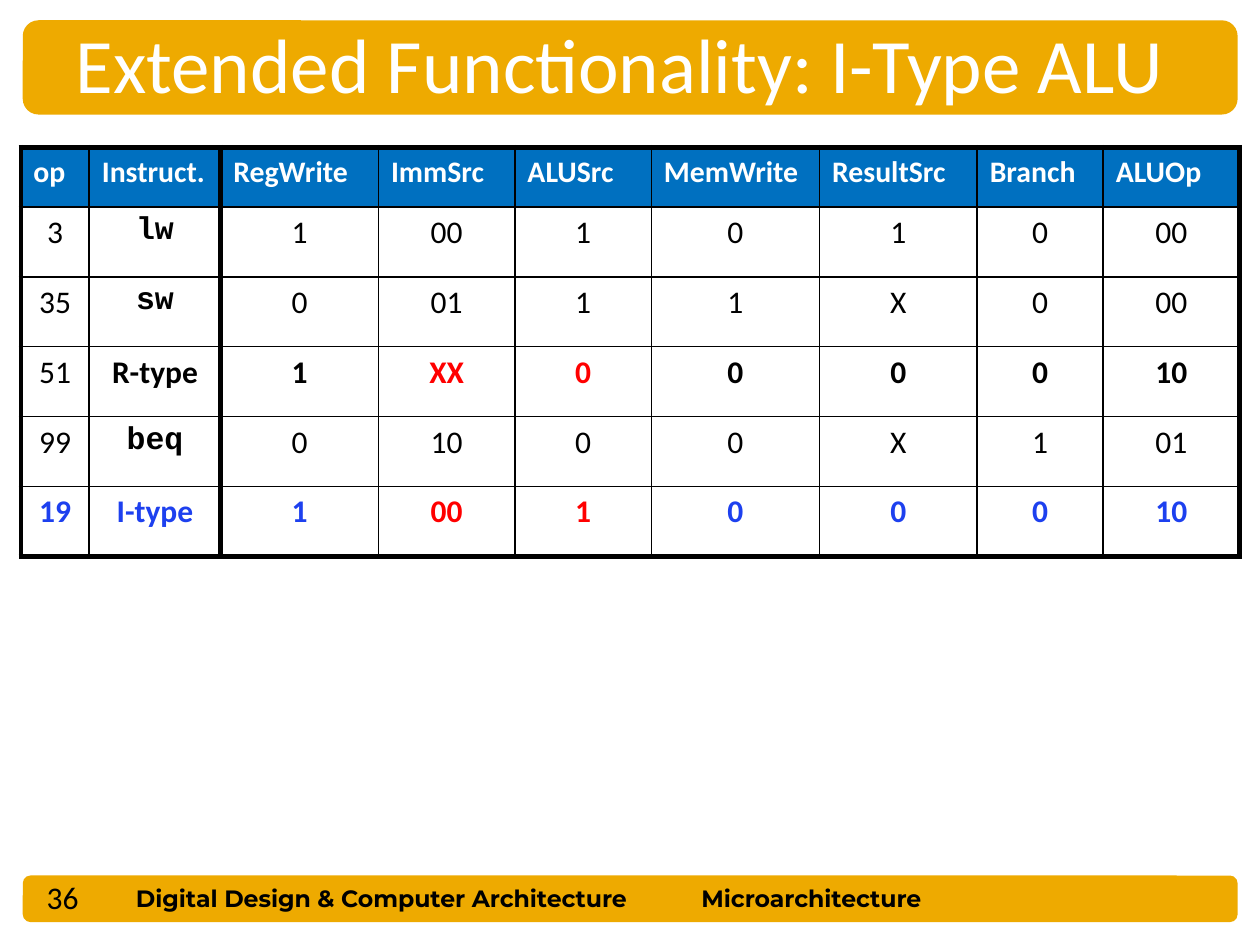
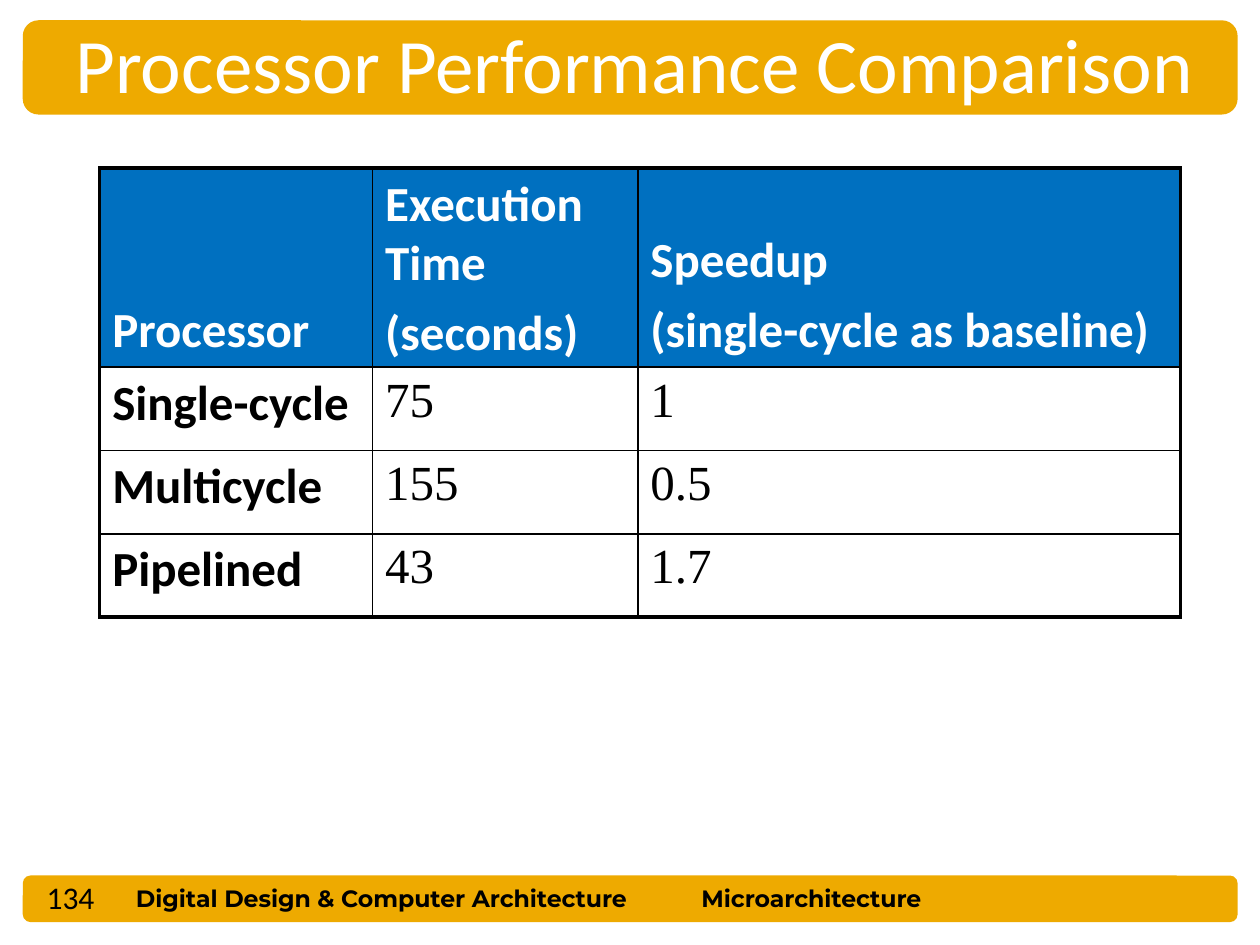
"""Build two microarchitecture lecture slides with shared bands and bordered tables."""
from dataclasses import dataclass
from typing import Callable

from lxml import etree
from pptx import Presentation
from pptx import util as u
from pptx.dml.color import RGBColor
from pptx.enum import shapes, text
from pptx.oxml.ns import qn

COLORS = {
    "band": "EEAA00",
    "header": "0070C0",
    "white": "FFFFFF",
    "black": "000000",
    "red": "FF0000",
    "blue": "1D40EF",
}
LEFT, CENTER = text.PP_ALIGN.LEFT, text.PP_ALIGN.CENTER
TOP, BOTTOM = text.MSO_ANCHOR.TOP, text.MSO_ANCHOR.BOTTOM
THIN = 1


@dataclass(frozen=True)
class Box:
    left: float
    top: float
    width: float
    height: float

    def lengths(self) -> tuple[u.Cm, u.Cm, u.Cm, u.Cm]:
        return u.Cm(self.left), u.Cm(self.top), u.Cm(self.width), u.Cm(self.height)


@dataclass(frozen=True)
class TextStyle:
    size: float
    color: str = "black"
    bold: bool = False
    font: str = "Calibri"
    align: text.PP_ALIGN = LEFT


@dataclass(frozen=True)
class TableSpec:
    left: float
    top: float
    columns: list[float]
    header_height: float
    row_height: float
    rows: list[list[str]]
    style_of: Callable[[int, int], TextStyle]
    heavy: float
    heavy_edges: set[int]
    header_anchor: text.MSO_ANCHOR = TOP


BANDS = [Box(0.46, 17.65, 24.49, 0.94), Box(0.46, 0.41, 24.49, 1.9)]
FOOTERS = [
    (Box(2.49, 17.7, 11.28, 0.84), "Digital Design & Computer Architecture"),
    (Box(13.89, 17.7, 7.47, 0.84), "Microarchitecture"),
]
TITLE_BOX = Box(1.27, 0.2, 23.29, 2.13)
NUMBER_BOX = Box(0.69, 17.58, 2.08, 0.99)
TITLE_STYLE = TextStyle(44, "white")
FOOTER_STYLE = TextStyle(13.5, bold=True, font="Montserrat")
NUMBER_STYLE = TextStyle(18)

CONTROL_ROWS = [
    ["op", "Instruct.", "RegWrite", "ImmSrc", "ALUSrc", "MemWrite", "ResultSrc", "Branch", "ALUOp"],
    ["3", "lw", "1", "00", "1", "0", "1", "0", "00"],
    ["35", "sw", "0", "01", "1", "1", "X", "0", "00"],
    ["51", "R-type", "1", "XX", "0", "0", "0", "0", "10"],
    ["99", "beq", "0", "10", "0", "0", "X", "1", "01"],
    ["19", "I-type", "1", "00", "1", "0", "0", "0", "10"],
]
PERFORMANCE_ROWS = [
    ["Processor", "Execution Time\n(seconds)", "Speedup\n(single-cycle as baseline)"],
    ["Single-cycle", "75", "1"],
    ["Multicycle", "155", "0.5"],
    ["Pipelined", "43", "1.7"],
]


def control_style(row: int, column: int) -> TextStyle:
    if row == 0:
        return TextStyle(17, "white", True)
    instruction = CONTROL_ROWS[row][1]
    is_type = instruction.endswith("-type")
    color = "blue" if instruction == "I-type" else "black"
    if is_type and column in (3, 4):
        color = "red"
    if column == 1 and not is_type:
        return TextStyle(18, color, True, "Courier New", CENTER)
    bold = instruction == "I-type" or (is_type and column > 0)
    return TextStyle(18, color, bold, align=CENTER)


def performance_style(row: int, column: int) -> TextStyle:
    if row == 0:
        return TextStyle(28, "white", True)
    if column == 0:
        return TextStyle(28, bold=True)
    return TextStyle(28, font="Times New Roman")


CONTROL_TABLE = TableSpec(
    0.42, 2.97, [1.38, 2.65, 3.18, 2.75, 2.75, 3.39, 3.18, 2.54, 2.75], 1.2, 1.41,
    CONTROL_ROWS, control_style, 3, {0, 2, 9},
)
PERFORMANCE_TABLE = TableSpec(
    2.01, 3.39, [5.5, 5.35, 10.94], 3.23, 1.68,
    PERFORMANCE_ROWS, performance_style, 2.25, {0, 3}, BOTTOM,
)


def write(frame, content: str, style: TextStyle) -> None:
    frame.text = content
    for index, paragraph in enumerate(frame.paragraphs):
        paragraph.alignment = style.align
        paragraph.space_before = u.Pt(0.2 * style.size if index else 0)
        for run in paragraph.runs:
            run.font.size = u.Pt(style.size)
            run.font.name = style.font
            run.font.bold = style.bold
            run.font.color.rgb = RGBColor.from_string(COLORS[style.color])


def add_band(slide, box: Box) -> None:
    shape = slide.shapes.add_shape(shapes.MSO_SHAPE.ROUNDED_RECTANGLE, *box.lengths())
    shape.shadow.inherit = False
    shape.fill.solid()
    shape.fill.fore_color.rgb = RGBColor.from_string(COLORS["band"])
    shape.line.fill.background()


def add_label(slide, box: Box, content: str, style: TextStyle) -> None:
    frame = slide.shapes.add_textbox(*box.lengths()).text_frame
    frame.word_wrap = True
    write(frame, content, style)


def place_title(slide, content: str) -> None:
    title = slide.shapes.title
    title.element.getparent().append(title.element)
    title.left, title.top, title.width, title.height = TITLE_BOX.lengths()
    title.text_frame.word_wrap = True
    title.text_frame.auto_size = text.MSO_AUTO_SIZE.NONE
    title.text_frame.vertical_anchor = TOP
    write(title.text_frame, content, TITLE_STYLE)


def set_borders(cell, widths: dict[str, float]) -> None:
    properties = cell._tc.get_or_add_tcPr()
    for side, width in widths.items():
        line = etree.SubElement(properties, qn(f"a:ln{side}"), w=str(u.Pt(width)))
        fill = etree.SubElement(line, qn("a:solidFill"))
        etree.SubElement(fill, qn("a:srgbClr"), val=COLORS["black"])


def add_table(slide, spec: TableSpec) -> None:
    row_count, column_count = len(spec.rows), len(spec.columns)
    height = spec.header_height + spec.row_height * (row_count - 1)
    box = Box(spec.left, spec.top, sum(spec.columns), height)
    table = slide.shapes.add_table(row_count, column_count, *box.lengths()).table
    table.first_row = table.horz_banding = False
    for column, width in zip(table.columns, spec.columns):
        column.width = u.Cm(width)

    def vertical(edge: int) -> float:
        return spec.heavy if edge in spec.heavy_edges else THIN

    def horizontal(edge: int) -> float:
        return spec.heavy if edge in (0, row_count) else THIN

    for row, values in enumerate(spec.rows):
        table.rows[row].height = u.Cm(spec.row_height if row else spec.header_height)
        for column, value in enumerate(values):
            cell = table.cell(row, column)
            set_borders(cell, {
                "L": vertical(column), "R": vertical(column + 1),
                "T": horizontal(row), "B": horizontal(row + 1),
            })
            if row:
                cell.fill.background()
            else:
                cell.fill.solid()
                cell.fill.fore_color.rgb = RGBColor.from_string(COLORS["header"])
            cell.vertical_anchor = TOP if row else spec.header_anchor
            write(cell.text_frame, value, spec.style_of(row, column))


def add_slide(presentation, title: str, number: int, table: TableSpec) -> None:
    slide = presentation.slides.add_slide(presentation.slide_layouts[5])
    for band in BANDS:
        add_band(slide, band)
    for box, content in FOOTERS:
        add_label(slide, box, content, FOOTER_STYLE)
    place_title(slide, title)
    add_label(slide, NUMBER_BOX, str(number), NUMBER_STYLE)
    add_table(slide, table)


def main() -> None:
    presentation = Presentation()
    presentation.slide_width, presentation.slide_height = u.Cm(25.4), u.Cm(19.05)
    add_slide(presentation, "Extended Functionality: I-Type ALU", 36, CONTROL_TABLE)
    add_slide(presentation, "Processor Performance Comparison", 134, PERFORMANCE_TABLE)
    presentation.save("out.pptx")


if __name__ == "__main__":
    main()
